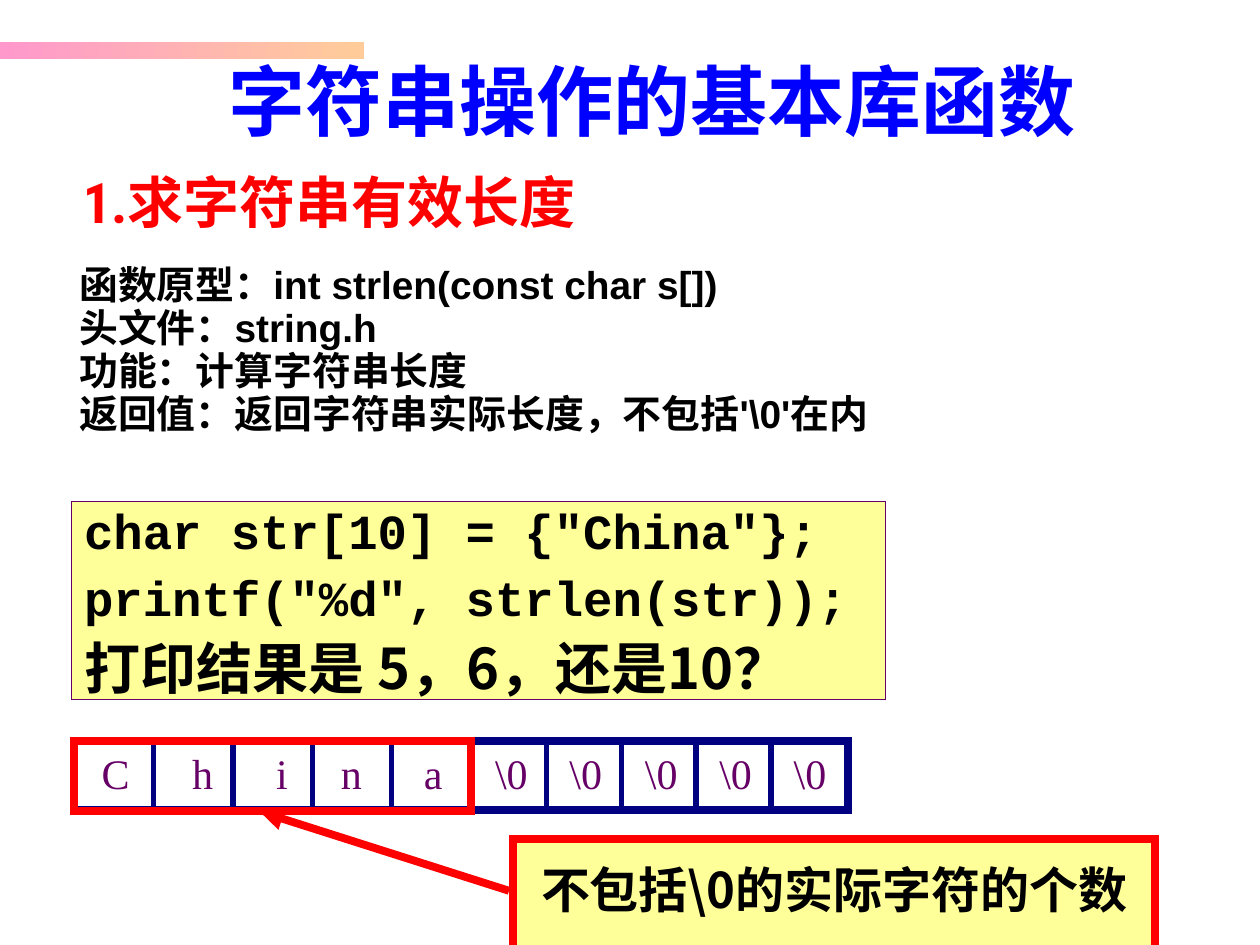
from lxml.etree import SubElement
from pptx import Presentation
from pptx.dml.color import RGBColor
from pptx.enum.shapes import MSO_CONNECTOR as CONN, MSO_SHAPE as SHAPE
from pptx.enum.text import MSO_ANCHOR as ANCHOR, PP_ALIGN as ALIGN
from pptx.oxml.ns import qn
from pptx.util import Inches, Pt

WHITE = RGBColor(0xFF, 0xFF, 0xFF)
BLACK = RGBColor(0x00, 0x00, 0x00)
RED = RGBColor(0xFF, 0x00, 0x00)
BLUE = RGBColor(0x00, 0x00, 0xFF)
NAVY = RGBColor(0x00, 0x00, 0x80)
PURPLE = RGBColor(0x66, 0x00, 0x66)
YELLOW = RGBColor(0xFF, 0xFF, 0x99)
PINK = RGBColor(0xFF, 0x99, 0xCC)
PEACH = RGBColor(0xFF, 0xCC, 0x99)

CJK = "Noto Sans CJK SC"
HEAD = "Roboto Condensed"
BODY = "Arial"
CODE = "Courier New"
SERIF = "Times New Roman"

COLS, ROWS = 100, 75
UNIT = Inches(0.1)
ARRAY_X, ARRAY_Y, ARRAY_W, CELL_H = 5.9, 58.8, 61.4, 5.5
LETTER_W, NULL_W, LETTERS = 6.3, 5.95, 5
CELLS = ["C", "h", "i", "n", "a"] + [r"\0"] * 5
CELL_CENTRES = [9.2, 16.1, 22.4, 27.9, 34.4, 40.6, 46.5, 52.5, 58.4, 64.3]


def grid(*cells):
    """Turn grid counts into lengths."""
    return [int(c * UNIT) for c in cells]


def add_box(s, at, fill=None, line=None, width=0.75):
    """Add a flat rectangle with an optional fill and a sharp outline."""
    sp = s.shapes.add_shape(SHAPE.RECTANGLE, *grid(*at))
    sp.shadow.inherit = False
    if fill is None:
        sp.fill.background()
    else:
        sp.fill.solid()
        sp.fill.fore_color.rgb = fill
    if line is None:
        sp.line.fill.background()
    else:
        sp.line.color.rgb = line
        sp.line.width = Pt(width)
        SubElement(sp.line._get_or_add_ln(), qn("a:miter"), lim="800000")
    return sp


def add_band(s, at):
    """Add the pink to peach decoration band."""
    sp = add_box(s, at, WHITE)
    sp.fill.gradient()
    sp.fill.gradient_angle = 0
    for stop, color in zip(sp.fill.gradient_stops, (PINK, PEACH)):
        stop.color.rgb = color


def add_line(s, start, end, color, width, arrow=False):
    """Add a straight line, with an arrowhead at its end if asked."""
    cx = s.shapes.add_connector(CONN.STRAIGHT, *grid(*start, *end))
    cx.line.color.rgb = color
    cx.line.width = Pt(width)
    if arrow:
        SubElement(cx.line._get_or_add_ln(), qn("a:tailEnd"), type="triangle")
    SubElement(cx._element.spPr, qn("a:effectLst"))


def setup_frame(sp, anchor=ANCHOR.TOP, side=0.1):
    """Set the wrapping, anchor and insets of a text frame."""
    tf = sp.text_frame
    tf.word_wrap = True
    tf.vertical_anchor = anchor
    tf.margin_left = tf.margin_right = Inches(side)
    tf.margin_top = tf.margin_bottom = Inches(0.05)
    return tf


def add_text_box(s, at, anchor=ANCHOR.TOP):
    """Add a text box and return its frame."""
    return setup_frame(s.shapes.add_textbox(*grid(*at)), anchor)


def write(tf, text, size, font, color=BLACK, bold=True, align=ALIGN.LEFT,
          spacing=1.0, before=0):
    """Write one paragraph, using the empty first one if there is one."""
    first = tf.paragraphs[0]
    p = tf.add_paragraph() if first.runs else first
    p.alignment = align
    p.line_spacing = spacing
    p.space_before = Pt(before)
    r = p.add_run()
    r.text = text
    r.font.size, r.font.name, r.font.bold = Pt(size), font, bold
    r.font.color.rgb = color
    SubElement(r._r.get_or_add_rPr(), qn("a:ea"), typeface=CJK)
    return p


def add_array(s):
    """Draw the ten array cells with their characters on centred tabs."""
    add_box(s, (ARRAY_X, ARRAY_Y, ARRAY_W, CELL_H), line=NAVY, width=4.5)
    for i in range(1, len(CELLS)):
        x = ARRAY_X + min(i, LETTERS) * LETTER_W + max(i - LETTERS, 0) * NULL_W
        add_line(s, (x, ARRAY_Y), (x, ARRAY_Y + CELL_H), NAVY, 3)
    left = ARRAY_X + 0.4
    tf = add_text_box(s, (left, ARRAY_Y, ARRAY_W + 0.5, 5))
    p = write(tf, "".join("\t" + c for c in CELLS), 24, SERIF, PURPLE, False)
    tabs = SubElement(p._p.get_or_add_pPr(), qn("a:tabLst"))
    for x in CELL_CENTRES:
        pos = grid(x - left - 1)[0]
        SubElement(tabs, qn("a:tab"), pos=str(pos), algn="ctr")


def add_headings(s):
    """Add the slide title and the section heading."""
    tf = add_text_box(s, (9.3, 3.4, 85, 9), ANCHOR.MIDDLE)
    write(tf, "字符串操作的基本库函数", 44, HEAD, BLUE, align=ALIGN.CENTER)
    tf = add_text_box(s, (5.6, 11.5, 58.6, 9), ANCHOR.MIDDLE)
    write(tf, "1.求字符串有效长度", 32, HEAD, RED)


def add_description(s):
    """Describe the prototype, header, purpose and result."""
    tf = add_text_box(s, (5.3, 21.2, 71.2, 17.4))
    lines = ["函数原型：int strlen(const char s[])", "头文件：string.h",
             "功能：计算字符串长度", r"返回值：返回字符串实际长度，不包括'\0'在内"]
    for i, text in enumerate(lines):
        write(tf, text, 22.2, BODY, spacing=0.7, before=6 if i else 0)


def add_code(s):
    """Add the code sample and its question."""
    tf = setup_frame(add_box(s, (5.7, 39.8, 64.6, 15.7), YELLOW, PURPLE))
    write(tf, 'char str[10] = {"China"};', 28, CODE, spacing=0.9)
    write(tf, 'printf("%d", strlen(str));', 28, CODE, spacing=0.9, before=8)
    write(tf, "打印结果是 5，6，还是10？", 32, CJK, spacing=0.9, before=8)


def add_callout(s):
    """Add the note and the arrow to the counted letters."""
    add_line(s, (40.4, 70.7), (20.6, 64.4), RED, 4.5, arrow=True)
    sp = add_box(s, (40.7, 66.6, 51, 12.7), YELLOW, RED, 4.5)
    tf = setup_frame(sp, side=0.05)
    write(tf, r"不包括\0的实际字符的个数", 28, CJK, align=ALIGN.CENTER, spacing=1.25)
    add_box(s, (ARRAY_X, ARRAY_Y, LETTERS * LETTER_W, CELL_H + 0.1),
            line=RED, width=4.5)


def main():
    """Build and save the slide."""
    prs = Presentation()
    prs.slide_width, prs.slide_height = grid(COLS, ROWS)
    s = prs.slides.add_slide(prs.slide_layouts[6])
    add_band(s, (0, 3.3, 28.9, 1.4))
    add_headings(s)
    add_description(s)
    add_code(s)
    add_array(s)
    add_callout(s)
    prs.save("out.pptx")


if __name__ == "__main__":
    main()
